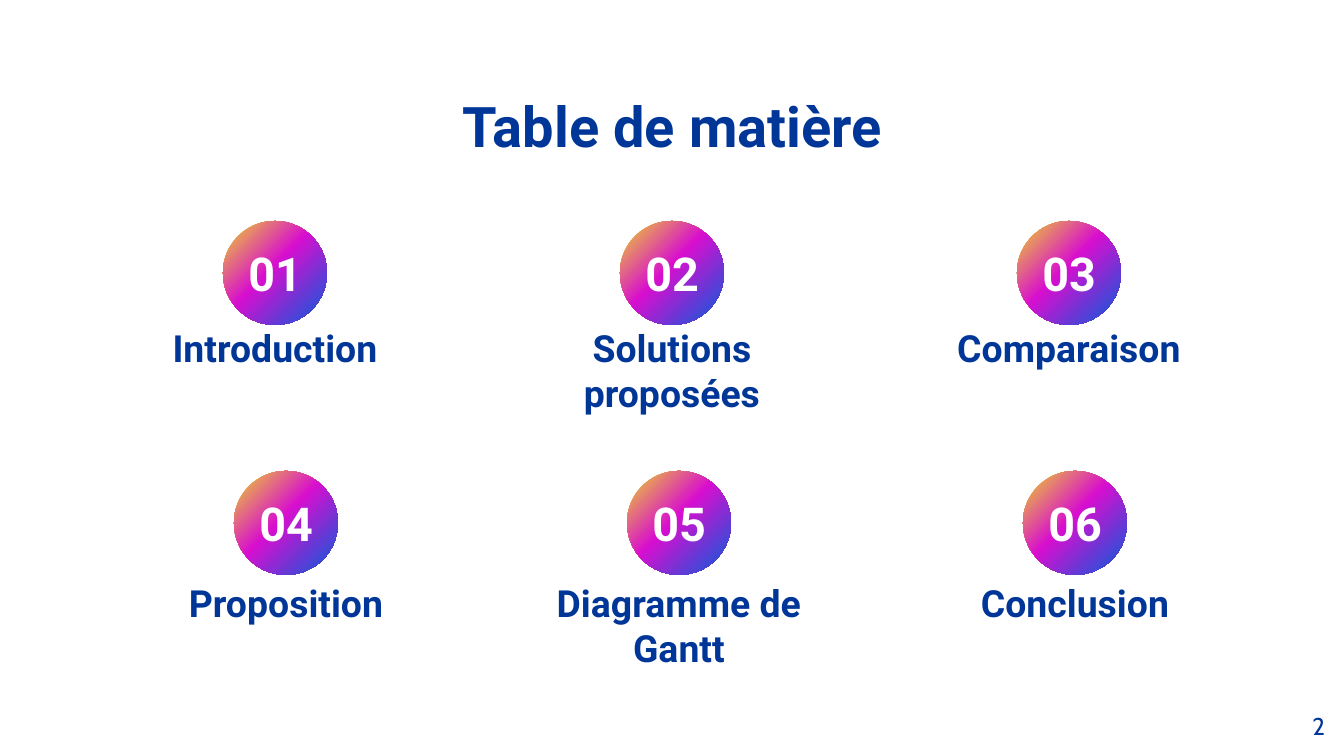
from pptx import Presentation
from pptx.dml.color import RGBColor
from pptx.enum.shapes import MSO_SHAPE as Kind
from pptx.enum.text import MSO_ANCHOR as Anchor, MSO_AUTO_SIZE as Fit, PP_ALIGN as Align
from pptx.util import Pt
from lxml.etree import SubElement
from pptx.oxml.ns import qn

TITLE = "Table de matière"
PAGE = "2"
ROWS = [
    (273, 312, [("01", "Introduction", 275, 339),
                ("02", "Solutions proposées", 672, 339),
                ("03", "Comparaison", 1069, 339)]),
    (523, 567, [("04", "Proposition", 286, 339),
                ("05", "Diagramme de Gantt", 679, 369),
                ("06", "Conclusion", 1075, 339)]),
]
STOPS = [(0, "EEDB28"), (46, "D80FCF"), (100, "005FDB")]
BLUE, WHITE = "003697", "FFFFFF"
DISC, NUM_W, NUM_H, LABEL_H, PAD = 104, 90, 64, 78, 13
SCALE = 914400 / 134.4


def px(n):
    return round(n * SCALE)


def color(code):
    return RGBColor.from_string(code)


def write(box, text, size, code, font="Roboto", bold=True,
          align=Align.CENTER, anchor=Anchor.TOP):
    frame = box.text_frame
    frame.text = text
    frame.word_wrap = True
    frame.auto_size = Fit.NONE
    frame.vertical_anchor = anchor
    frame.margin_left = frame.margin_right = px(PAD)
    frame.margin_top = frame.margin_bottom = px(PAD)
    para = frame.paragraphs[0]
    para.alignment = align
    para.font.name = font
    para.font.size = Pt(size)
    para.font.bold = bold
    para.font.color.rgb = color(code)


def add_text(x, y, w, h, *args, **kind):
    box = slide.shapes.add_textbox(px(x), px(y), px(w), px(h))
    write(box, *args, **kind)


def add_disc(x, y):
    disc = slide.shapes.add_shape(
        Kind.OVAL, px(x - DISC / 2), px(y - DISC / 2), px(DISC), px(DISC))
    disc.shadow.inherit = False
    disc.line.fill.background()
    disc.fill.gradient()
    disc.fill.gradient_angle = 315
    stops = disc.fill._fill._gradFill.find(qn("a:gsLst"))
    for old in list(stops):
        stops.remove(old)
    for pos, code in STOPS:
        stop = SubElement(stops, qn("a:gs"), pos=str(pos * 1000))
        SubElement(stop, qn("a:srgbClr"), val=code)


deck = Presentation()
deck.slide_width, deck.slide_height = px(1344), px(756)
slide = deck.slides.add_slide(deck.slide_layouts[5])

title = slide.shapes.title
title.left, title.top, title.width, title.height = map(px, (106, 79, 1133, 85))
write(title, TITLE, 30, BLUE)

for mid, top, items in ROWS:
    for num, label, x, wide in items:
        add_disc(x, mid)
        add_text(x - NUM_W / 2, mid - NUM_H / 2, NUM_W, NUM_H,
                 num, 25, WHITE, anchor=Anchor.MIDDLE)
        add_text(x - wide / 2, top, wide, LABEL_H, label, 20, BLUE)

add_text(1258, 698, 80, 58, PAGE, 13, BLUE, font="Cabin", bold=False, align=Align.RIGHT)

deck.save("out.pptx")
